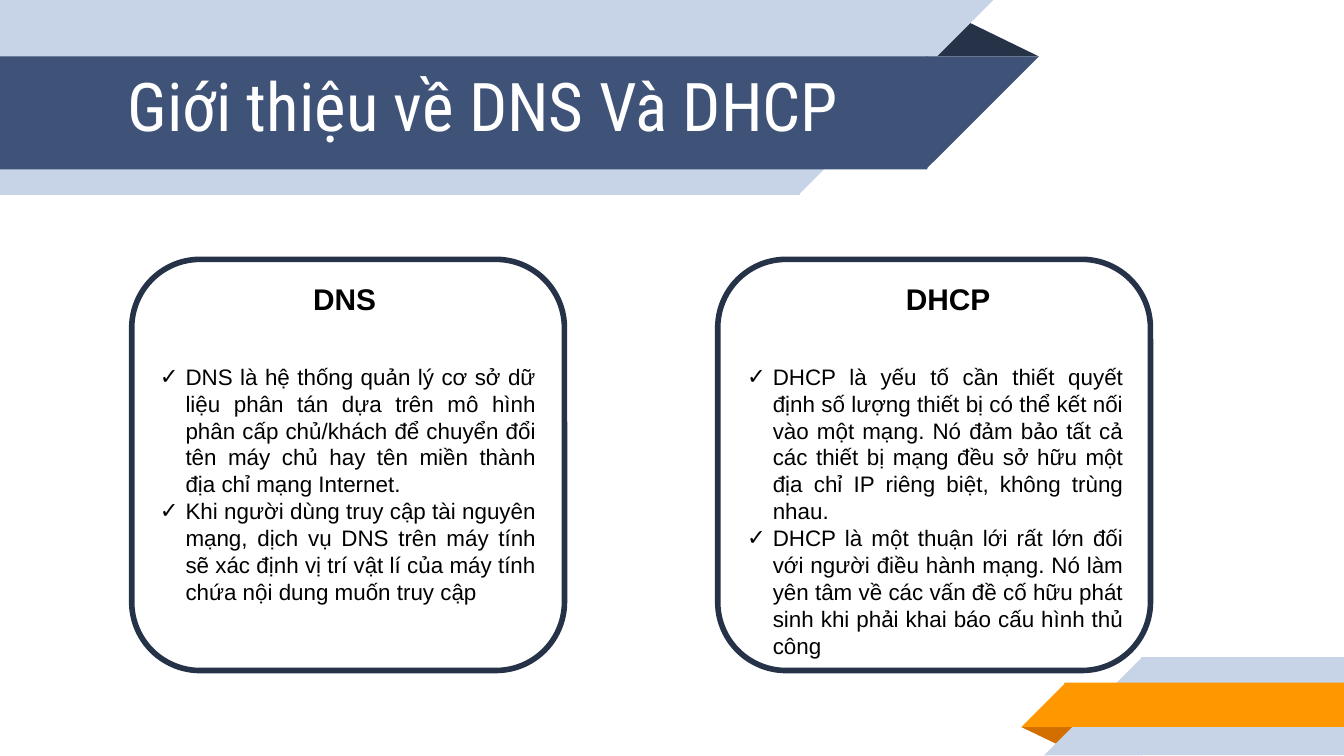
from lxml import etree
from pptx import Presentation
from pptx import util as u
from pptx.dml.color import RGBColor
from pptx.enum import shapes, text
from pptx.oxml import ns

COLORS = {
    "navy": "263248",
    "blue": "3F5378",
    "pale": "C7D3E6",
    "orange": "FF9800",
    "rust": "D26F00",
    "white": "FFFFFF",
    "black": "000000",
}
OVERLAP = 0.01  # hides the seam between the two parts of a band

TOPICS = [
    ("DNS", [
        "DNS là hệ thống quản lý cơ sở dữ liệu phân tán dựa trên mô hình phân cấp "
        "chủ/khách để chuyển đổi tên máy chủ hay tên miền thành địa chỉ mạng Internet. ",
        "Khi người dùng truy cập tài nguyên mạng, dịch vụ DNS trên máy tính sẽ xác "
        "định vị trí vật lí của máy tính chứa nội dung muốn truy cập",
    ]),
    ("DHCP", [
        "DHCP là yếu tố cần thiết quyết định số lượng thiết bị có thể kết nối vào một "
        "mạng. Nó đảm bảo tất cả các thiết bị mạng đều sở hữu một địa chỉ IP riêng "
        "biệt, không trùng nhau. ",
        "DHCP là một thuận lới rất lớn đối với người điều hành mạng. Nó làm yên tâm về "
        "các vấn đề cố hữu phát sinh khi phải khai báo cấu hình thủ công",
    ]),
]


def rgb(name):
    return RGBColor.from_string(COLORS[name])


def add_shape(slide, kind, box, fill=None, rotation=0, flip=False):
    shape = slide.shapes.add_shape(kind, *map(u.Inches, box))
    shape.shadow.inherit = False
    shape.rotation = rotation
    if flip:
        shape._element.spPr.xfrm.set("flipH", "1")
    if fill:
        shape.fill.solid()
        shape.fill.fore_color.rgb = rgb(fill)
    else:
        shape.fill.background()
    shape.line.fill.background()
    return shape


def add_fold(slide, box, fill, rotation=0):
    fold = add_shape(slide, shapes.MSO_SHAPE.ISOSCELES_TRIANGLE, box, fill, rotation)
    fold.adjustments[0] = 0.324


def add_top_band(slide, top, width, height, fill):
    """Band from the left edge with a slanted end on the right."""
    add_shape(slide, shapes.MSO_SHAPE.RECTANGLE, (0, top, width + OVERLAP, height), fill)
    add_shape(slide, shapes.MSO_SHAPE.RIGHT_TRIANGLE, (width, top, height, height),
              fill, rotation=180, flip=True)


def add_corner_band(slide, left, top, height, fill):
    """Band to the right edge with a slanted end on the left."""
    start = left + height - OVERLAP
    add_shape(slide, shapes.MSO_SHAPE.RECTANGLE, (start, top, 10 - start, height), fill)
    add_shape(slide, shapes.MSO_SHAPE.RIGHT_TRIANGLE, (left, top, height, height),
              fill, flip=True)


def add_card(slide, left):
    card = add_shape(slide, shapes.MSO_SHAPE.ROUNDED_RECTANGLE, (left, 1.93, 3.22, 3.06))
    card.line.color.rgb = rgb("navy")
    card.line.width = u.Pt(3)


def add_bullet(paragraph):
    props = paragraph._p.get_or_add_pPr()
    props.set("marL", str(u.Inches(0.19)))
    props.set("indent", str(-u.Inches(0.19)))
    color = etree.SubElement(props, ns.qn("a:buClr"))
    etree.SubElement(color, ns.qn("a:srgbClr"), val=COLORS["black"])
    etree.SubElement(props, ns.qn("a:buFont"), typeface="Arial")
    etree.SubElement(props, ns.qn("a:buChar"), char="✓")


def fill_placeholder(slide, index, box, lines, size, align, font="Arial",
                     color="black", bold=False, bullets=False):
    holder = slide.placeholders[index]
    holder.left, holder.top, holder.width, holder.height = map(u.Inches, box)
    slide.shapes._spTree.append(holder._element)  # bring to the front
    frame = holder.text_frame
    frame.word_wrap = True
    frame.auto_size = text.MSO_AUTO_SIZE.NONE
    frame.vertical_anchor = text.MSO_ANCHOR.TOP
    for number, line in enumerate(lines):
        paragraph = frame.add_paragraph() if number else frame.paragraphs[0]
        paragraph.alignment = align
        paragraph.space_before = u.Pt(0)
        if bullets:
            add_bullet(paragraph)
        run = paragraph.add_run()
        run.text = line
        run.font.size = u.Pt(size)
        run.font.name = font
        run.font.bold = bold
        run.font.color.rgb = rgb(color)


def main():
    # 16:9 page
    deck = Presentation()
    deck.slide_width = u.Inches(10)
    deck.slide_height = deck.slide_width * 9 // 16
    slide = deck.slides.add_slide(deck.slide_layouts.get_by_name("Comparison"))

    # Title ribbon
    add_fold(slide, (6.88, 0.14, 0.85, 0.28), "navy")
    add_top_band(slide, 0, 5.94, 1.45, "pale")
    add_top_band(slide, 0.42, 6.89, 0.84, "blue")

    # Corner ribbon
    add_fold(slide, (7.6, 5.41, 0.43, 0.14), "rust", rotation=180)
    add_corner_band(slide, 7.77, 4.89, 0.73, "pale")
    add_corner_band(slide, 7.6, 5.08, 0.33, "orange")

    # Title
    fill_placeholder(slide, 0, (0.02, 0.43, 7.15, 0.71), ["Giới thiệu về DNS Và DHCP"],
                     36, text.PP_ALIGN.CENTER, font="Roboto Condensed", color="white")

    # Topic cards: each has a heading and a list
    for number, (heading, points) in enumerate(TOPICS):
        left = 0.98 + 4.36 * number
        add_card(slide, left)
        fill_placeholder(slide, 1 + 2 * number, (left + 1.25 + 0.05 * number, 2.04, 2.13, 0.61),
                         [heading], 16, text.PP_ALIGN.LEFT, bold=True)
        fill_placeholder(slide, 2 + 2 * number,
                         (left + 0.11 + 0.01 * number, 2.65, 3, 1.95 + 0.37 * number),
                         points, 12, text.PP_ALIGN.JUSTIFY, bullets=True)

    deck.save("out.pptx")


if __name__ == "__main__":
    main()
